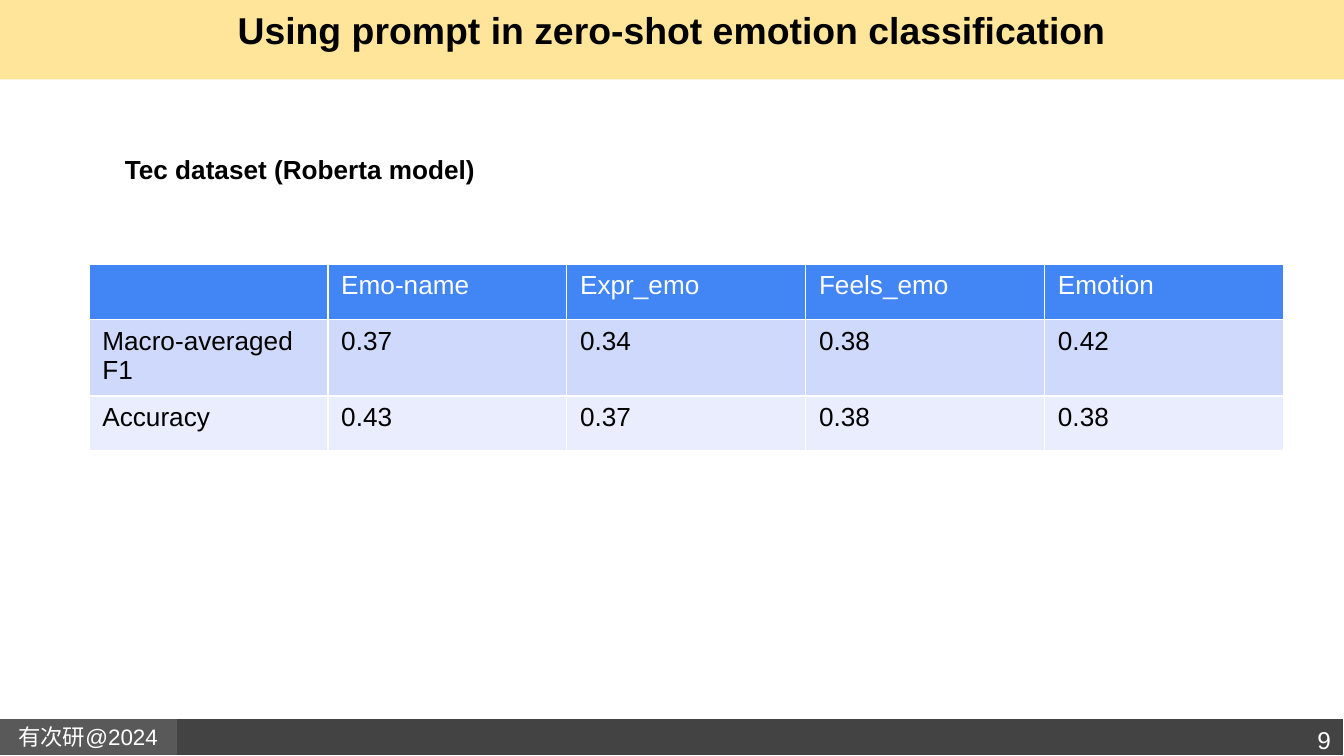
from dataclasses import dataclass
from typing import Optional

from lxml.etree import SubElement
from pptx import Presentation
from pptx.dml.color import RGBColor
from pptx.enum.shapes import MSO_SHAPE
from pptx.enum.text import MSO_ANCHOR, PP_ALIGN
from pptx.oxml.ns import qn
from pptx.util import Cm, Pt

HUES = {
    "black": "000000", "white": "FFFFFF", "banner": "FFE599",
    "footer": "434343", "badge": "595959", "head": "4285F4",
    "odd": "CFD9FB", "even": "E9EDFD",
}
FONT = "Arial"
WIDE, HIGH = 25.4, 14.29


@dataclass
class Bar:
    top: float
    width: float
    height: float
    fill: str
    line: Optional[str] = None


@dataclass
class Label:
    text: str
    box: tuple[float, float, float, float]
    size: float
    hue: str = "black"
    bold: bool = False
    align: PP_ALIGN = PP_ALIGN.LEFT
    anchor: MSO_ANCHOR = MSO_ANCHOR.TOP
    pad: tuple[float, float] = (0.25, 0.25)  # sides, top and bottom


BARS = [
    Bar(0, WIDE, 1.5, "banner"),
    Bar(13.57, WIDE, 0.71, "footer", "white"),
    Bar(13.6, 3.33, 0.66, "badge", "badge"),
]
LABELS = [
    Label("有次研@2024", (0, 13.6, 3.33, 0.66), 12, "white",
          align=PP_ALIGN.CENTER, anchor=MSO_ANCHOR.MIDDLE),
    Label("Using prompt in zero-shot emotion classification",
          (0.86, 0, 23.68, 1.6), 20, bold=True,
          align=PP_ALIGN.CENTER, pad=(0.25, 0.14)),
    Label("9", (22.73, 13.46, 2.67, 0.94), 13, "white", align=PP_ALIGN.RIGHT),
    Label("Tec dataset (Roberta model)", (2.36, 2.87, 7.7, 1.57), 14,
          bold=True, pad=(0, 0.03)),
]
SCORES = [
    ("", "Emo-name", "Expr_emo", "Feels_emo", "Emotion"),
    ("Macro-averaged F1", "0.37", "0.34", "0.38", "0.42"),
    ("Accuracy", "0.43", "0.37", "0.38", "0.38"),
]
ROWS = [(1.04, "head", "white"), (1.43, "odd", "black"), (1.04, "even", "black")]


def color(name: str) -> RGBColor:
    return RGBColor.from_string(HUES[name])


def style(para, size: float, hue: str, bold: bool = False) -> None:
    font = para.font
    font.name, font.size, font.bold = FONT, Pt(size), bold
    font.color.rgb = color(hue)


def draw_bar(slide, bar: Bar) -> None:
    shape = slide.shapes.add_shape(
        MSO_SHAPE.RECTANGLE, Cm(0), Cm(bar.top), Cm(bar.width), Cm(bar.height))
    shape.shadow.inherit = False
    shape.fill.solid()
    shape.fill.fore_color.rgb = color(bar.fill)
    if bar.line:
        shape.line.color.rgb = color(bar.line)
        shape.line.width = Pt(0.75)
    else:
        shape.line.fill.background()


def draw_label(slide, label: Label) -> None:
    frame = slide.shapes.add_textbox(*map(Cm, label.box)).text_frame
    frame.word_wrap = True
    frame.vertical_anchor = label.anchor
    side, edge = map(Cm, label.pad)
    frame.margin_left = frame.margin_right = side
    frame.margin_top = frame.margin_bottom = edge
    para = frame.paragraphs[0]
    para.text, para.alignment = label.text, label.align
    style(para, label.size, label.hue, label.bold)


def edge_cell(cell) -> None:
    """Give all four sides of a cell a thin white border."""
    props = cell._tc.get_or_add_tcPr()
    for side in ("lnL", "lnR", "lnT", "lnB"):
        line = SubElement(props, qn(f"a:{side}"), w=str(Pt(1)))
        fill = SubElement(line, qn("a:solidFill"))
        SubElement(fill, qn("a:srgbClr"), val=HUES["white"])


def draw_table(slide) -> None:
    table = slide.shapes.add_table(
        len(SCORES), len(SCORES[0]), Cm(1.68), Cm(5), Cm(22.58), Cm(3.51)).table
    for row, texts, (height, fill, hue) in zip(table.rows, SCORES, ROWS):
        row.height = Cm(height)
        for cell, text in zip(row.cells, texts):
            edge_cell(cell)
            cell.fill.solid()
            cell.fill.fore_color.rgb = color(fill)
            cell.text = text
            style(cell.text_frame.paragraphs[0], 14, hue)


def main() -> None:
    deck = Presentation()
    deck.slide_width, deck.slide_height = Cm(WIDE), Cm(HIGH)
    slide = deck.slides.add_slide(deck.slide_layouts[6])
    for bar in BARS:
        draw_bar(slide, bar)
    for label in LABELS:
        draw_label(slide, label)
    draw_table(slide)
    deck.save("out.pptx")


if __name__ == "__main__":
    main()
